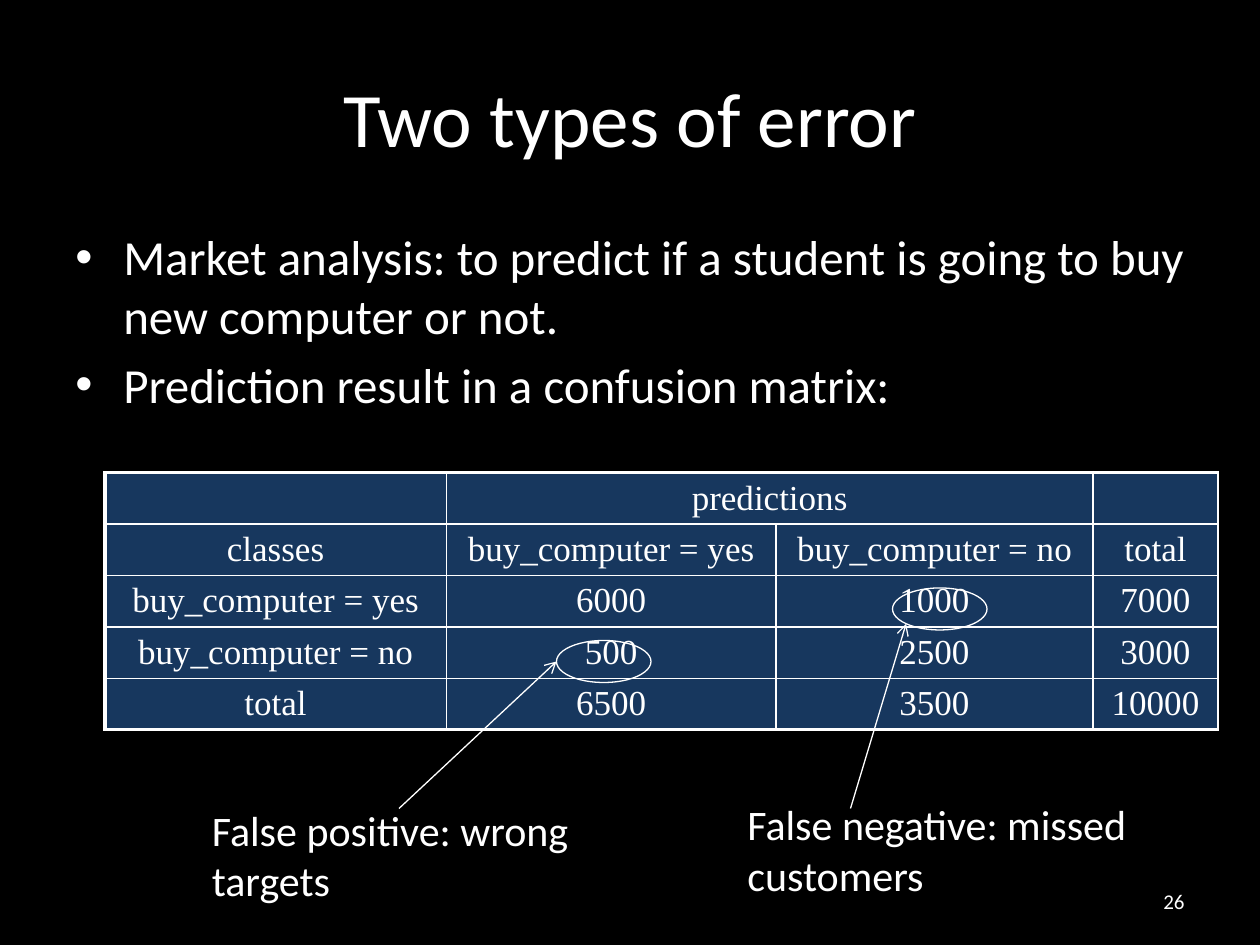
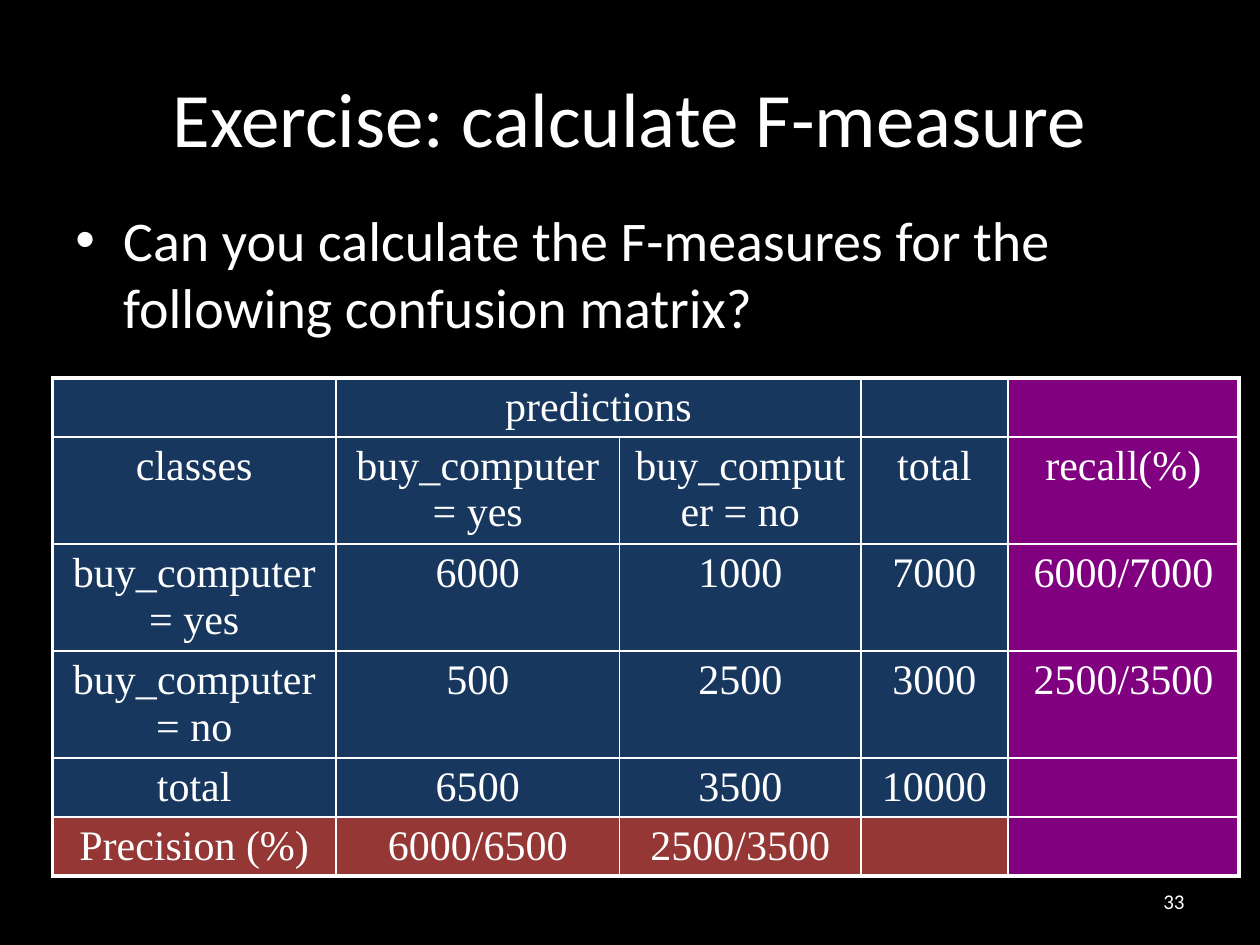
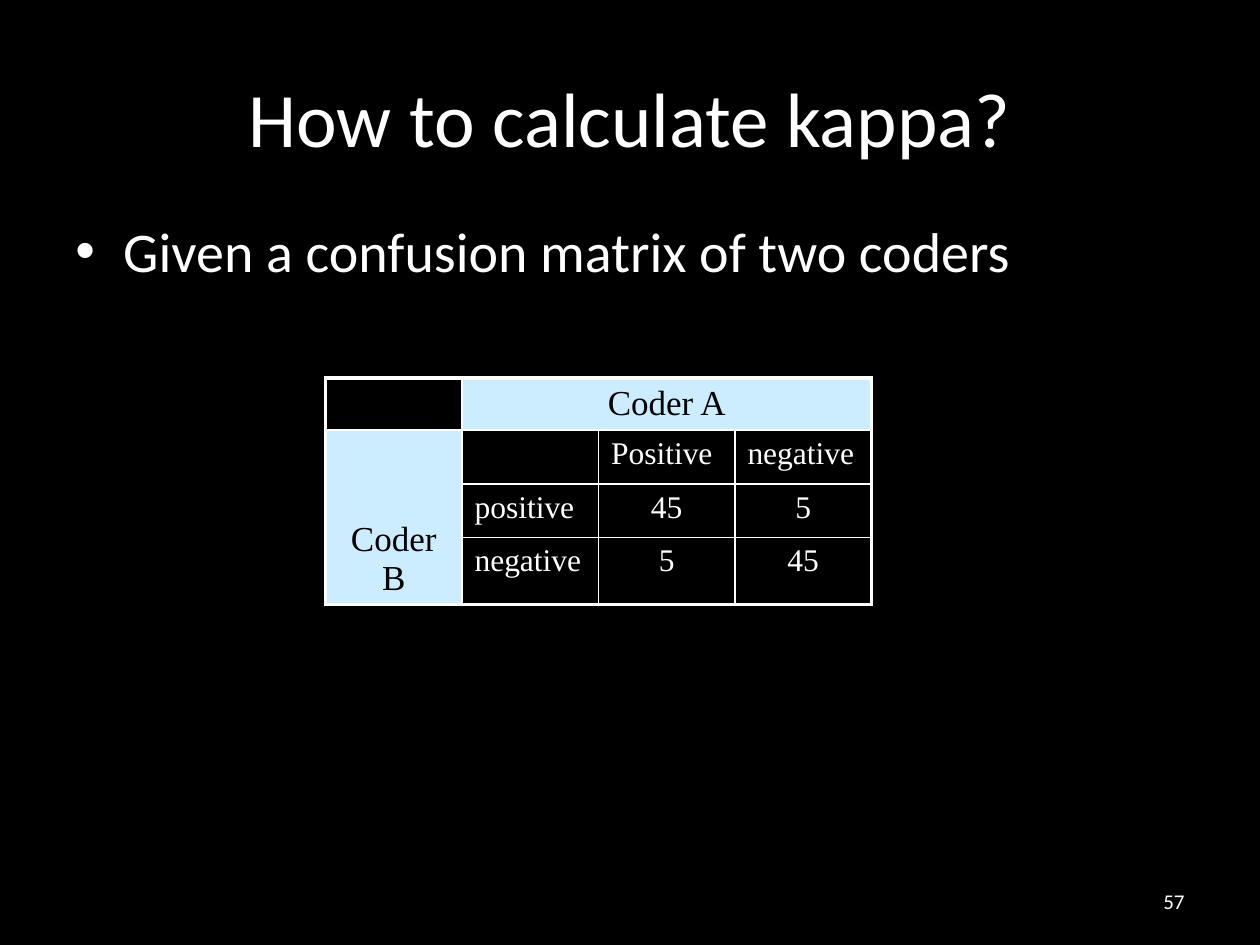
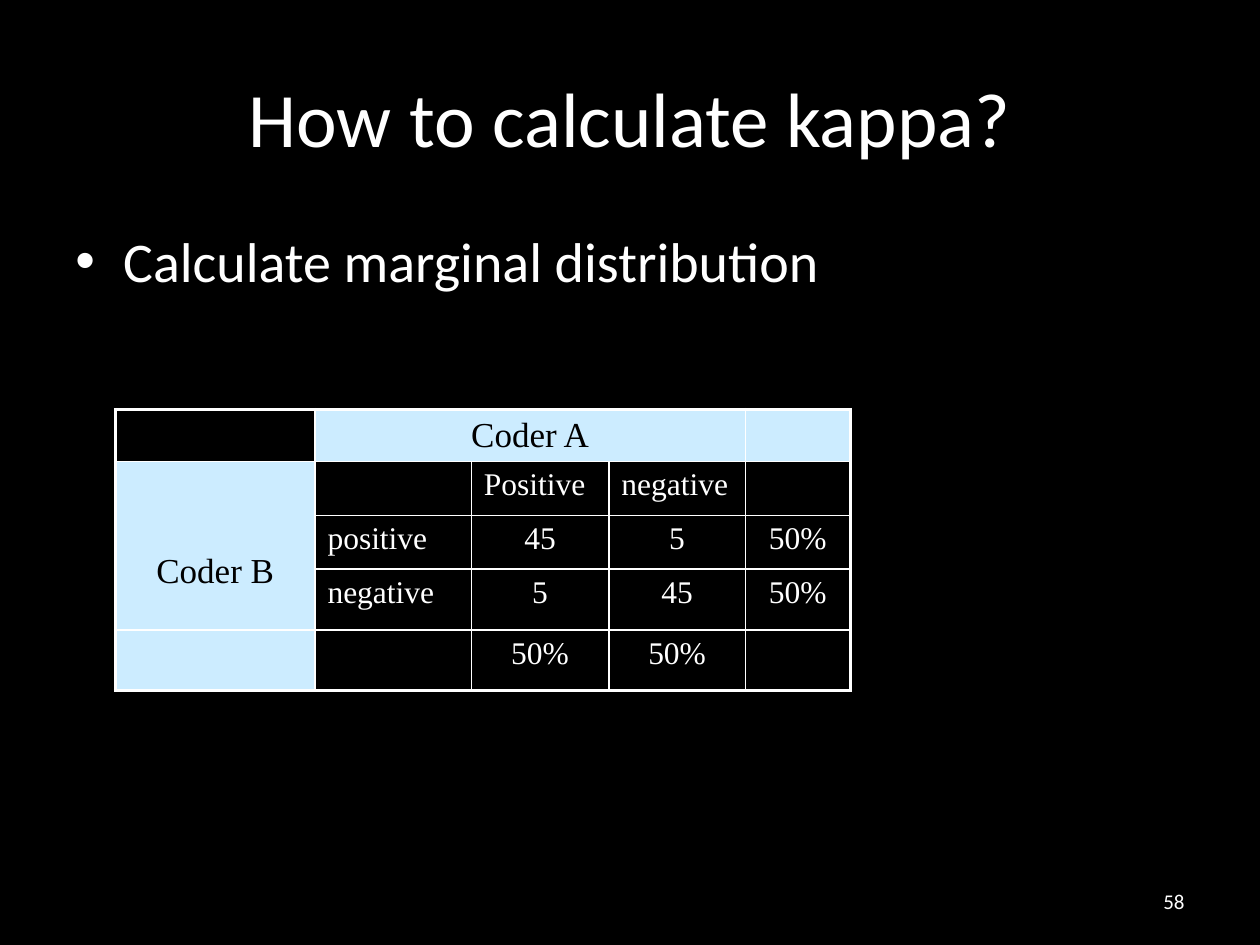
from dataclasses import dataclass, field
from typing import Any, NamedTuple

from lxml.etree import SubElement
from pptx import Presentation
from pptx.dml.color import RGBColor as Rgb
from pptx.enum.shapes import MSO_CONNECTOR as Connector, MSO_SHAPE as Preset
from pptx.enum.text import MSO_ANCHOR as Anchor, PP_ALIGN as Align
from pptx.oxml.ns import qn
from pptx.util import Emu, Inches, Pt

GRID_COLUMNS, GRID_ROWS = 120, 90
SLIDE_WIDTH, SLIDE_HEIGHT = Inches(10), Inches(7.5)


@dataclass(frozen=True)
class Theme:
    background: str = "000000"
    ink: str = "FFFFFF"
    dark_ink: str = "000000"
    navy: str = "17375E"
    purple: str = "800080"
    red: str = "953735"
    pale: str = "CCECFF"
    font: str = "Calibri"
    table_font: str = "Times New Roman"
    title_size: int = 44
    body_size: int = 32
    small_body_size: int = 28
    note_size: int = 24
    number_size: int = 12
    table_size: int = 20
    large_table_size: int = 24
    outer_line: float = 2.25
    inner_line: float = 1
    mark_line: float = 0.75


THEME = Theme()


class Area(NamedTuple):
    left: float
    top: float
    width: float
    height: float


class CellStyle(NamedTuple):
    fill: str | None
    ink: str
    align: Any = Align.CENTER
    size_step: int = 0
    margin_top: float = 0.05


class Span(NamedTuple):
    rows: int = 1
    columns: int = 1


@dataclass(frozen=True)
class Matrix:
    left: float
    top: float
    columns: list[float]
    rows: list[float]
    texts: list[list[str]]
    styles: list[str]
    spans: dict[tuple[int, int], Span]
    size: int = THEME.table_size
    thick_sides: str = "LRTB"


class ErrorNote(NamedTuple):
    text: str
    area: Area
    mark: Area
    arrow_start: tuple[float, float]
    arrow_end: tuple[float, float]
    site: int


@dataclass(frozen=True)
class Page:
    number: int
    title: str
    bullets: list[str]
    body: Area
    matrix: Matrix
    body_size: int = THEME.body_size
    notes: list[ErrorNote] = field(default_factory=list)


TITLE_AREA = Area(6, 3.6, 108, 15)
NUMBER_AREA = Area(86, 83.4, 28, 4.8)

CELL_STYLES = {
    "n": CellStyle(THEME.navy, THEME.ink),
    "p": CellStyle(THEME.purple, THEME.ink),
    "r": CellStyle(THEME.red, THEME.ink),
    "h": CellStyle(THEME.pale, THEME.dark_ink),
    "s": CellStyle(THEME.pale, THEME.dark_ink, margin_top=0.72),
    "v": CellStyle(None, THEME.ink, size_step=-2),
    "k": CellStyle(None, THEME.ink, Align.LEFT, -2),
}

YES, NO = "buy_computer = yes", "buy_computer = no"
PREDICTIONS = [
    ["", "predictions", "", ""],
    ["classes", YES, NO, "total"],
    [YES, "6000", "1000", "7000"],
    [NO, "500", "2500", "3000"],
    ["total", "6500", "3500", "10000"],
]
RECALLS = ["", "recall(%)", "6000/7000", "2500/3500", ""]
PRECISIONS = ["Precision (%)", "6000/6500", "2500/3500", "", ""]
PREDICTION_SPANS = {(0, 1): Span(columns=2)}

CODERS = [
    ["", "Coder A", "", ""],
    ["Coder B", "", "Positive", "negative"],
    ["", "positive", "45", "5"],
    ["", "negative", "5", "45"],
]
CODER_MARGINS = ["", "", "50%", "50%"]
CODER_SPANS = {(0, 1): Span(columns=3), (1, 0): Span(rows=3)}

PAGES = [
    Page(
        26, "Two types of error",
        ["Market analysis: to predict if a student is going to buy new computer or not.",
         "Prediction result in a confusion matrix:"],
        Area(6, 21, 112, 33),
        Matrix(10, 45, [32.5, 31.4, 30.2, 11.9], [4.9] * 5, PREDICTIONS,
               ["nnnn"] * 5, PREDICTION_SPANS, thick_sides="LTB"),
        THEME.small_body_size,
        [ErrorNote("False positive: wrong targets", Area(19, 76, 42, 10.9),
                   Area(53, 61, 9, 4), (38, 77), (53, 63), 2),
         ErrorNote("False negative: missed customers", Area(70, 75.5, 54, 10.9),
                   Area(85, 56, 9, 4), (81, 77), (86.3, 59.4), 3)],
    ),
    Page(
        33, "Exercise: calculate F-measure",
        ["Can you calculate the F-measures for the following confusion matrix?"],
        Area(6, 19, 108, 18),
        Matrix(5, 36, [27, 27, 23, 14, 22], [5.6, 10.05, 10.05, 10.05, 5.6, 5.6],
               [row + [recall] for row, recall in zip(PREDICTIONS, RECALLS)] + [PRECISIONS],
               ["nnnnp"] * 5 + ["rrrrp"], PREDICTION_SPANS, THEME.large_table_size),
    ),
    Page(
        57, "How to calculate kappa?", ["Given a confusion matrix of two coders"],
        Area(6, 20, 108, 59.4),
        Matrix(31, 36, [13] * 4, [4.95, 5.15, 5.1, 6.4], CODERS,
               ["vhhh", "skkk", "skvv", "skvv"], CODER_SPANS),
    ),
    Page(
        58, "How to calculate kappa?", ["Calculate marginal distribution"],
        Area(6, 21, 108, 59.4),
        Matrix(11, 39, [19, 14.9, 13.1, 13, 10], [4.95, 5.15, 5.1, 5.8, 5.8],
               [row + [share] for row, share in zip(CODERS, CODER_MARGINS)]
               + [CODER_MARGINS + [""]],
               ["vhhhh", "skkkv", "skvvv", "skvvv", "hkvvv"], CODER_SPANS),
    ),
]


def across(columns: float) -> Emu:
    return Emu(round(columns * SLIDE_WIDTH / GRID_COLUMNS))


def down(rows: float) -> Emu:
    return Emu(round(rows * SLIDE_HEIGHT / GRID_ROWS))


def place(area: Area) -> tuple[Emu, Emu, Emu, Emu]:
    return across(area.left), down(area.top), across(area.width), down(area.height)


def set_formats(target: Any, formats: dict[str, Any]) -> None:
    for attribute, value in formats.items():
        setattr(target, attribute, value)


def write(paragraph: Any, text: str, size: float, font: str = THEME.font,
          ink: str = THEME.ink, align: Any = Align.LEFT) -> None:
    paragraph.alignment = align
    run = paragraph.add_run()
    run.text = text
    set_formats(run.font, {"name": font, "size": Pt(size)})
    run.font.color.rgb = Rgb.from_string(ink)


def add_text(slide: Any, area: Area, lines: list[str], size: float, align: Any = Align.LEFT,
             anchor: Any = Anchor.TOP, bulleted: bool = False) -> None:
    frame = slide.shapes.add_textbox(*place(area)).text_frame
    set_formats(frame, {"word_wrap": True, "vertical_anchor": anchor})
    for index, line in enumerate(lines):
        paragraph = frame.add_paragraph() if index else frame.paragraphs[0]
        write(paragraph, line, size, align=align)
        if index:
            paragraph.space_before = Pt(size * 0.2)
        if bulleted:
            add_bullet(paragraph)


def add_bullet(paragraph: Any) -> None:
    properties = paragraph._p.get_or_add_pPr()
    indent = Inches(0.38)
    properties.set("marL", str(indent))
    properties.set("indent", str(-indent))
    SubElement(properties, qn("a:buFont"), typeface="Arial")
    SubElement(properties, qn("a:buChar"), char="•")


def add_border(cell: Any, side: str, width: float) -> None:
    line = SubElement(cell._tc.get_or_add_tcPr(), qn(f"a:ln{side}"), w=str(Pt(width)))
    SubElement(SubElement(line, qn("a:solidFill")), qn("a:srgbClr"), val=THEME.ink)


def format_cell(cell: Any, text: str, style: CellStyle, size: int,
                thick: set[str]) -> None:
    for side in "LRTB":
        add_border(cell, side, THEME.outer_line if side in thick else THEME.inner_line)
    if style.fill:
        cell.fill.solid()
        cell.fill.fore_color.rgb = Rgb.from_string(style.fill)
    else:
        cell.fill.background()
    margin_top = style.margin_top if text else 0.05
    set_formats(cell, {"margin_top": Inches(margin_top), "margin_bottom": 0})
    if text:
        write(cell.text_frame.paragraphs[0], text, size + style.size_step,
              THEME.table_font, style.ink, style.align)


def add_matrix(slide: Any, matrix: Matrix) -> None:
    area = Area(matrix.left, matrix.top, sum(matrix.columns), sum(matrix.rows))
    row_count, column_count = len(matrix.rows), len(matrix.columns)
    table = slide.shapes.add_table(row_count, column_count, *place(area)).table
    set_formats(table, {"first_row": False, "horz_banding": False})
    for column, width in zip(table.columns, matrix.columns):
        column.width = across(width)
    for row, height in zip(table.rows, matrix.rows):
        row.height = down(height)
    for r, texts in enumerate(matrix.texts):
        for c, text in enumerate(texts):
            span = matrix.spans.get((r, c), Span())
            edges = {"L": c == 0, "R": c + span.columns == column_count,
                     "T": r == 0, "B": r + span.rows == row_count}
            thick = {side for side in matrix.thick_sides if edges[side]}
            format_cell(table.cell(r, c), text, CELL_STYLES[matrix.styles[r][c]],
                        matrix.size, thick)
    for (r, c), span in matrix.spans.items():
        table.cell(r, c).merge(table.cell(r + span.rows - 1, c + span.columns - 1))


def add_error_note(slide: Any, note: ErrorNote) -> None:
    mark = slide.shapes.add_shape(Preset.OVAL, *place(note.mark))
    mark.shadow.inherit = False
    mark.fill.background()
    add_text(slide, note.area, [note.text], THEME.note_size)
    (start_x, start_y), (end_x, end_y) = note.arrow_start, note.arrow_end
    arrow = slide.shapes.add_connector(Connector.STRAIGHT, across(start_x), down(start_y),
                                       across(end_x), down(end_y))
    arrow.end_connect(mark, note.site)
    set_formats(arrow, {"end_x": across(end_x), "end_y": down(end_y)})
    for outlined in (mark, arrow):
        outlined.line.color.rgb = Rgb.from_string(THEME.ink)
        outlined.line.width = Pt(THEME.mark_line)
    SubElement(arrow.line._get_or_add_ln(), qn("a:tailEnd"), type="arrow")
    SubElement(arrow._element.spPr, qn("a:effectLst"))


def add_page(presentation: Any, page: Page) -> None:
    slide = presentation.slides.add_slide(presentation.slide_layouts[6])
    slide.background.fill.solid()
    slide.background.fill.fore_color.rgb = Rgb.from_string(THEME.background)
    add_text(slide, TITLE_AREA, [page.title], THEME.title_size, Align.CENTER, Anchor.MIDDLE)
    add_text(slide, page.body, page.bullets, page.body_size, bulleted=True)
    add_matrix(slide, page.matrix)
    for note in page.notes:
        add_error_note(slide, note)
    add_text(slide, NUMBER_AREA, [str(page.number)], THEME.number_size,
             Align.RIGHT, Anchor.MIDDLE)


def main() -> None:
    presentation = Presentation()
    set_formats(presentation, {"slide_width": SLIDE_WIDTH, "slide_height": SLIDE_HEIGHT})
    for page in PAGES:
        add_page(presentation, page)
    presentation.save("out.pptx")


if __name__ == "__main__":
    main()
